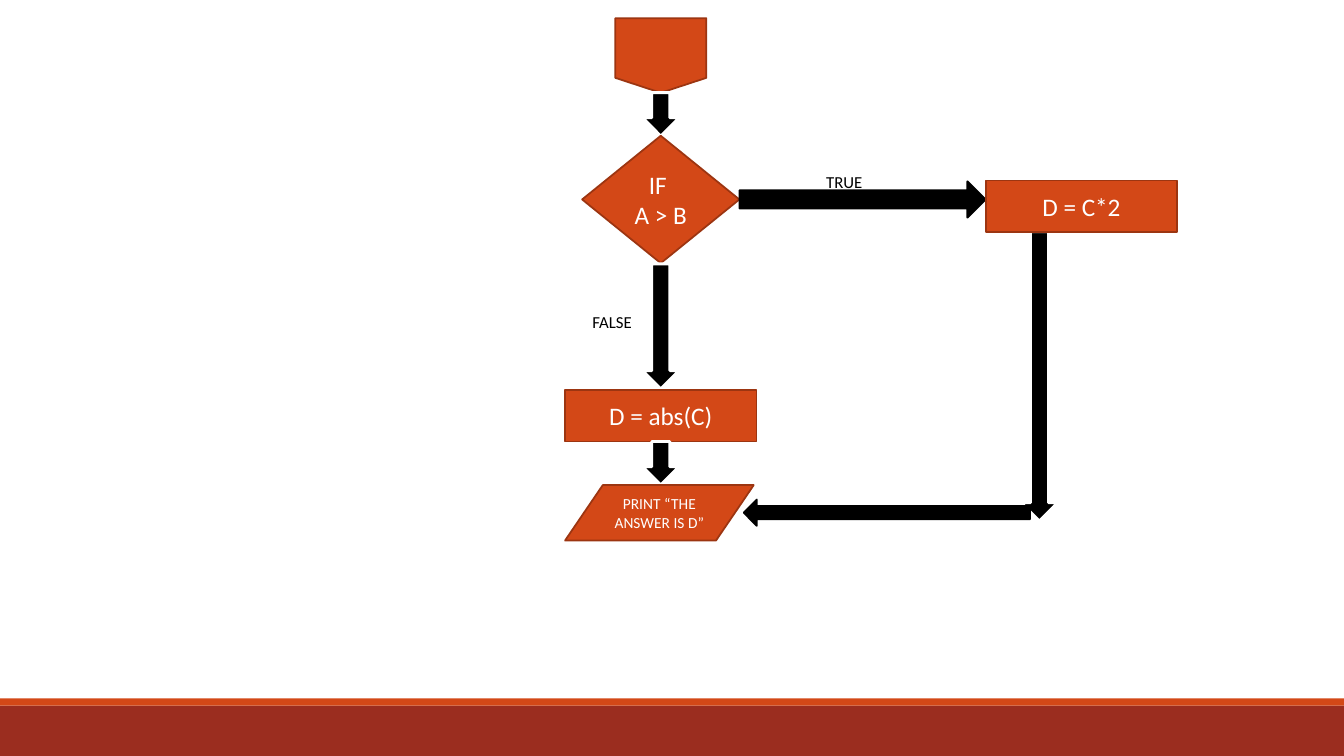
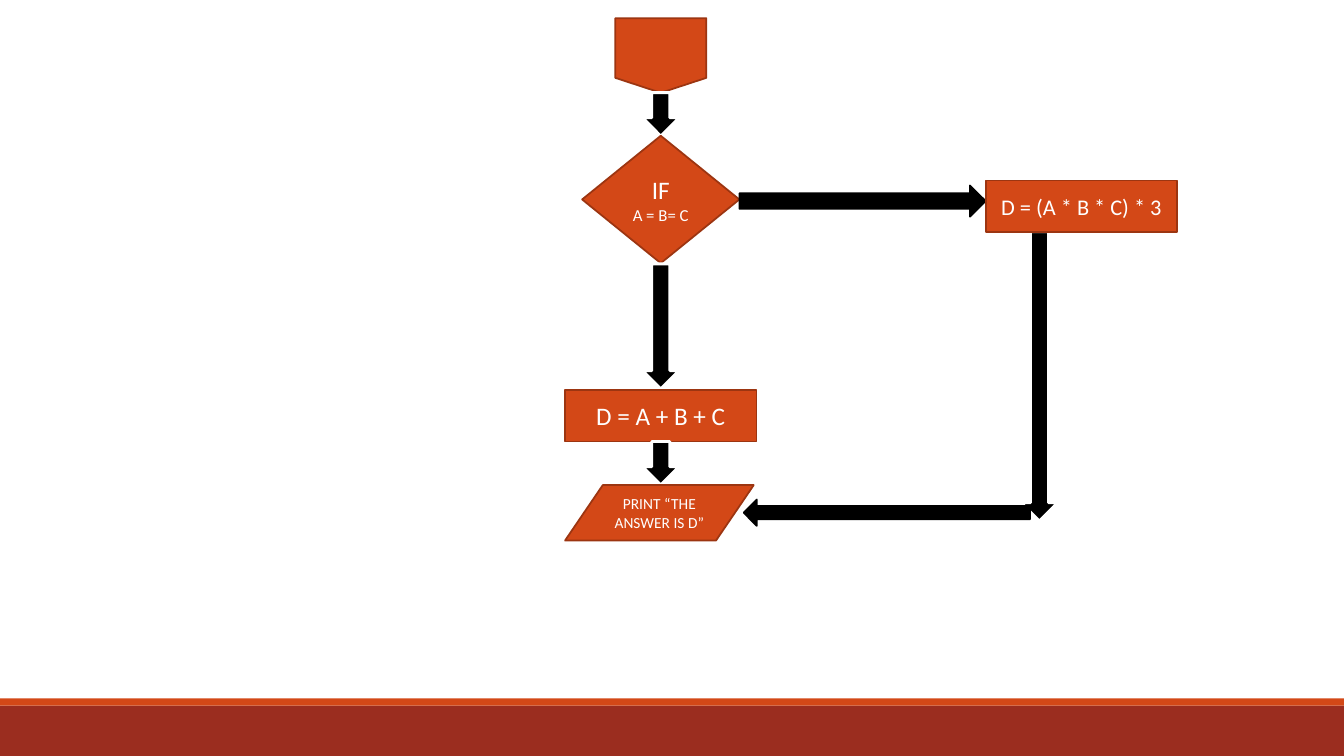
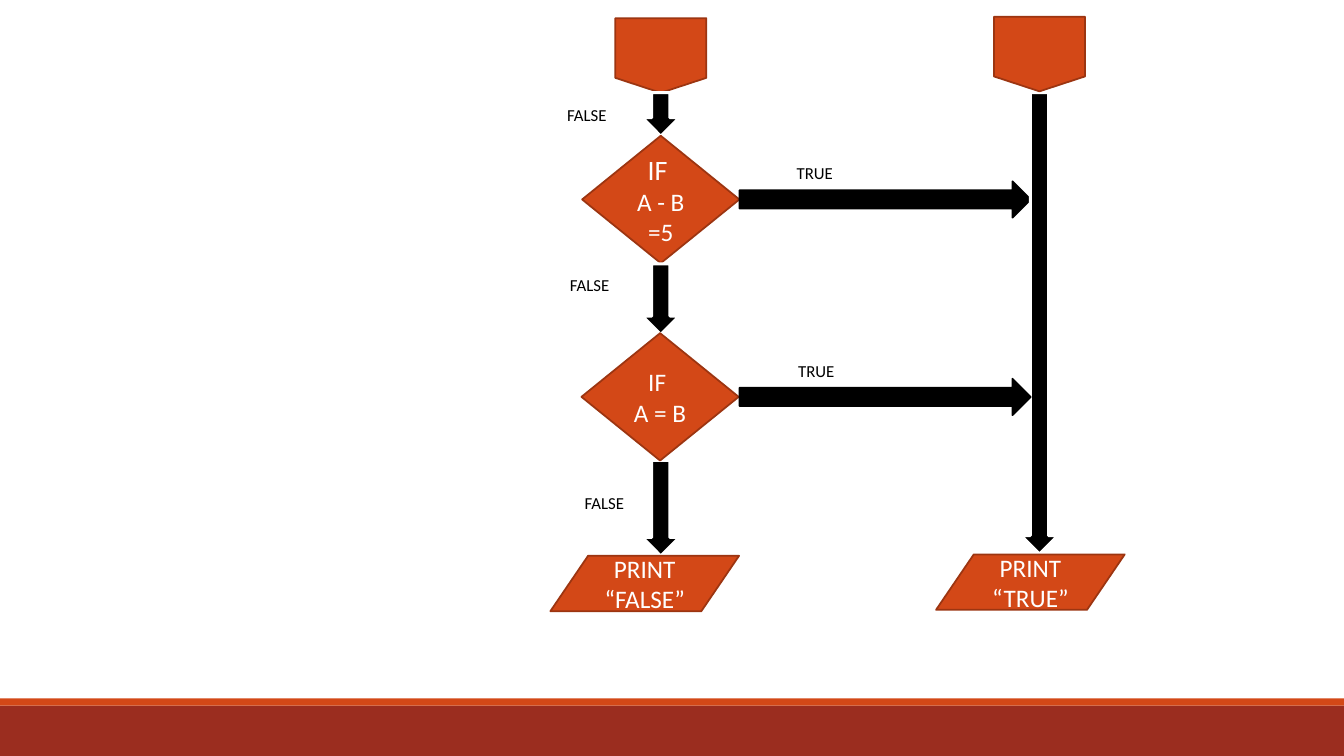
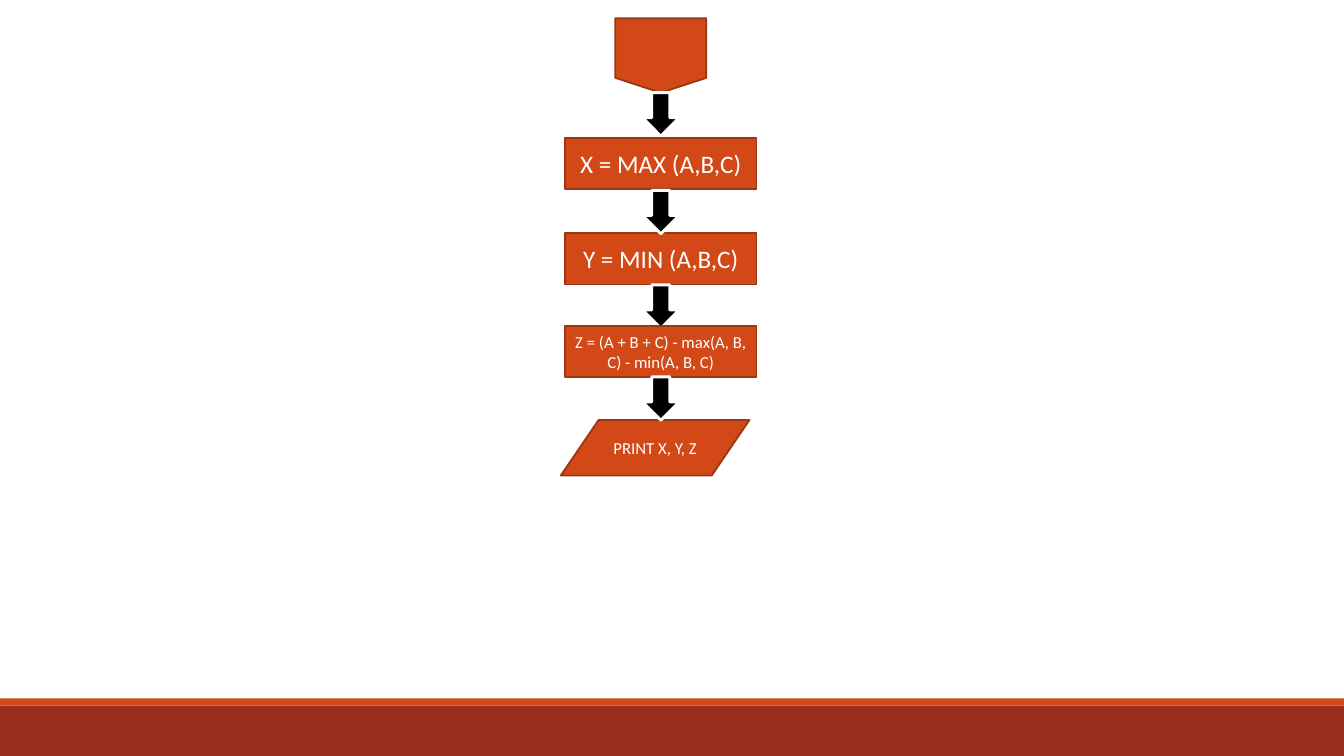
from dataclasses import dataclass
from enum import Enum
from typing import Any

from pptx import Presentation
from pptx import util as u
from pptx.dml.color import RGBColor
from pptx.enum import shapes, text

ORANGE = "D34817"
RUST = "9C3511"
BRICK = "9B2D1F"
BLACK = "000000"
WHITE = "FFFFFF"

MAIN = 472
BRANCH = 742.5
PAGE_WIDTH, PAGE_HEIGHT = 960, 540
ARROW_THICKNESS = 26

PRESET = shapes.MSO_SHAPE


@dataclass(frozen=True)
class Look:
    fill: str
    line: str | None = None
    weight: float = 0


NODE_LOOK = Look(ORANGE, RUST, 1.25)
DOWN_LOOK = Look(BLACK, WHITE, 2)
SIDE_LOOK = Look(BLACK, BLACK, 1.25)


@dataclass(frozen=True)
class Form:
    preset: Any
    width: float
    height: float


class Kind(Enum):
    START = Form(PRESET.FLOWCHART_OFFPAGE_CONNECTOR, 65, 53.3)
    DECISION = Form(PRESET.FLOWCHART_DECISION, 112.3, 91)
    PROCESS = Form(PRESET.RECTANGLE, 136.8, 36.7)
    OUTPUT = Form(PRESET.FLOWCHART_DATA, 134.8, 39.6)


class Way(Enum):
    DOWN = PRESET.DOWN_ARROW
    RIGHT = PRESET.RIGHT_ARROW
    LEFT = PRESET.LEFT_ARROW


@dataclass(frozen=True)
class Line:
    wording: str
    size: float = 18


@dataclass(frozen=True)
class Node:
    kind: Kind
    center: float
    top: float
    lines: tuple[Line, ...] = ()


@dataclass(frozen=True)
class Arrow:
    way: Way
    axis: float
    start: float
    length: float
    thickness: float = ARROW_THICKNESS


@dataclass(frozen=True)
class Label:
    wording: str
    left: float
    top: float


Item = Node | Arrow | Label


def color(code: str) -> RGBColor:
    return RGBColor.from_string(code)


def apply(target: Any, values: dict[str, Any]) -> None:
    for name, value in values.items():
        setattr(target, name, value)


def write(frame: Any, lines: tuple[Line, ...], ink: str, align: Any) -> None:
    for index, line in enumerate(lines):
        para = frame.paragraphs[0] if index == 0 else frame.add_paragraph()
        para.alignment = align
        span = para.add_run()
        span.text = line.wording
        apply(span.font, {"name": "Calibri", "size": u.Pt(line.size)})
        span.font.color.rgb = color(ink)


def draw_shape(page: Any, preset: Any, left: float, top: float,
               width: float, height: float, look: Look) -> Any:
    box = page.shapes.add_shape(preset, u.Pt(left), u.Pt(top), u.Pt(width), u.Pt(height))
    box.shadow.inherit = False
    box.fill.solid()
    box.fill.fore_color.rgb = color(look.fill)
    if look.line is None:
        box.line.fill.background()
    else:
        box.line.color.rgb = color(look.line)
        box.line.width = u.Pt(look.weight)
    return box


def draw_node(page: Any, node: Node) -> None:
    form = node.kind.value
    box = draw_shape(page, form.preset, node.center - form.width / 2, node.top,
                     form.width, form.height, NODE_LOOK)
    apply(box.text_frame, {"word_wrap": True, "vertical_anchor": text.MSO_ANCHOR.MIDDLE})
    write(box.text_frame, node.lines, WHITE, text.PP_ALIGN.CENTER)


def draw_arrow(page: Any, arrow: Arrow) -> None:
    edge = arrow.axis - arrow.thickness / 2
    if arrow.way is Way.DOWN:
        place = (edge, arrow.start, arrow.thickness, arrow.length)
        look = DOWN_LOOK
    else:
        place = (arrow.start, edge, arrow.length, arrow.thickness)
        look = SIDE_LOOK
    draw_shape(page, arrow.way.value, *place, look)


def draw_label(page: Any, label: Label) -> None:
    box = page.shapes.add_textbox(u.Pt(label.left), u.Pt(label.top), u.Pt(43), u.Pt(21.8))
    apply(box.text_frame, {"word_wrap": False,
                           "auto_size": text.MSO_AUTO_SIZE.SHAPE_TO_FIT_TEXT})
    write(box.text_frame, (Line(label.wording, 12),), BLACK, text.PP_ALIGN.LEFT)


DRAWERS = {Node: draw_node, Arrow: draw_arrow, Label: draw_label}


def draw_page(deck: Any, items: list[Item]) -> None:
    page = deck.slides.add_slide(deck.slide_layouts[6])
    draw_shape(page, PRESET.RECTANGLE, 0, 504, PAGE_WIDTH, 36, Look(BRICK))
    draw_shape(page, PRESET.RECTANGLE, 0, 498.8, PAGE_WIDTH, 5.2, Look(ORANGE))
    for item in items:
        DRAWERS[type(item)](page, item)


def down(top: float, length: float = 31, axis: float = MAIN) -> Arrow:
    return Arrow(Way.DOWN, axis, top, length)


def process(top: float, wording: str, size: float = 18, center: float = MAIN) -> Node:
    return Node(Kind.PROCESS, center, top, (Line(wording, size),))


def output(center: float, top: float, wording: str, size: float = 18) -> Node:
    return Node(Kind.OUTPUT, center, top, (Line(wording, size),))


OPENING: list[Item] = [Node(Kind.START, MAIN, 13), down(66.2)]


def two_way(condition: tuple[Line, ...], otherwise: str, then: Line,
            branch: Arrow) -> list[Item]:
    return [
        *OPENING,
        Node(Kind.DECISION, MAIN, 97, condition),
        down(188.5, 89.3),
        process(278.6, otherwise),
        down(315.4),
        output(471, 346.5, "PRINT “THE ANSWER IS D”", 11),
        branch,
        down(165.6, 206.6, BRANCH),
        Arrow(Way.LEFT, 366.2, 531.2, 204.5, 18.8),
        process(129, then.wording, then.size, 772.5),
    ]


COMPARE = [
    *two_way((Line("IF "), Line("A > B")), "D = abs(C)", Line("D = C*2"),
             Arrow(Way.RIGHT, 142.5, 528.2, 175.8)),
    Label("TRUE", 583, 119),
    Label("FALSE", 416, 219),
]

ALL_EQUAL = two_way((Line("IF"), Line("A = B= C", 12)), "D = A + B + C",
                    Line("D = (A * B * C) * 3", 16),
                    Arrow(Way.RIGHT, 143.6, 528.2, 175.8, 22.3))

TWO_TESTS = [
    *OPENING,
    Node(Kind.DECISION, MAIN, 97, (Line("IF ", 20), Line("A - B =5"))),
    down(188.5, 50.4),
    down(329, 68),
    output(460.5, 397, "PRINT “FALSE”"),
    Arrow(Way.RIGHT, 142.5, 528.2, 208),
    down(66.2, 329.5, BRANCH),
    Node(Kind.START, BRANCH, 12),
    Node(Kind.DECISION, 471.5, 238, (Line("IF "), Line("A = B"))),
    Arrow(Way.RIGHT, 283.5, 528.2, 208),
    output(736, 396, "PRINT “TRUE”"),
    Label("TRUE", 562, 113),
    Label("TRUE", 563, 254),
    Label("FALSE", 398, 71.5),
    Label("FALSE", 400, 193),
    Label("FALSE", 410.5, 348.5),
]

SORTING = [
    *OPENING,
    process(166.5, "Y = MIN (A,B,C)"),
    down(203.5),
    output(468, 300, "PRINT X, Y, Z", 12),
    process(98.5, "X = MAX (A,B,C)"),
    down(136),
    process(232.8, "Z = (A + B + C) - max(A, B, C) - min(A, B, C)", 12),
    down(269.2),
]


def main() -> None:
    deck = Presentation()
    apply(deck, {"slide_width": u.Pt(PAGE_WIDTH), "slide_height": u.Pt(PAGE_HEIGHT)})
    for items in (COMPARE, ALL_EQUAL, TWO_TESTS, SORTING):
        draw_page(deck, items)
    deck.save("out.pptx")


main()
